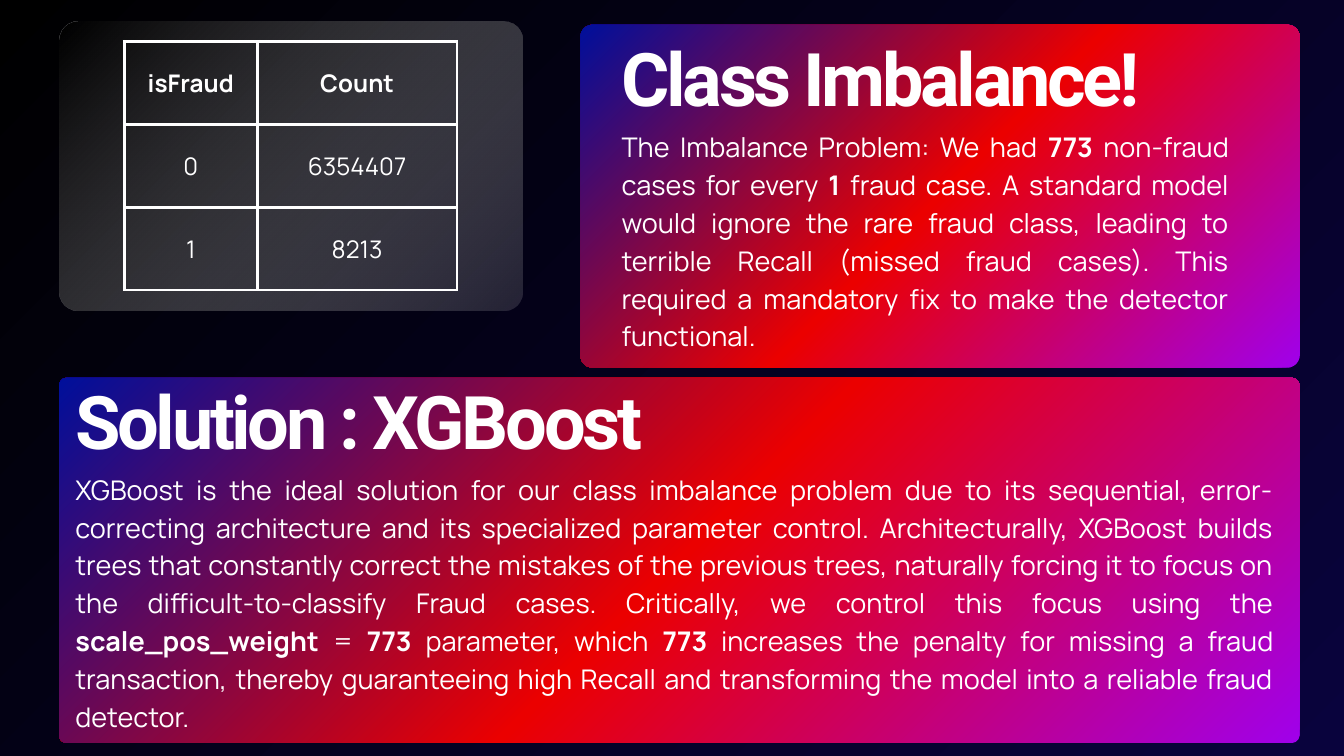
"""Build a slide on class imbalance and its solution."""
from lxml import etree
from pptx import Presentation
from pptx.dml.color import RGBColor
from pptx.enum.shapes import MSO_SHAPE
from pptx.enum.text import MSO_ANCHOR, MSO_AUTO_SIZE, PP_ALIGN
from pptx.oxml import parse_xml
from pptx.oxml.ns import nsdecls, qn
from pptx.util import Pt

ROUNDED = MSO_SHAPE.ROUNDED_RECTANGLE
MIDDLE = MSO_ANCHOR.MIDDLE
GROW = MSO_AUTO_SIZE.SHAPE_TO_FIT_TEXT
LEFT, CENTER, JUSTIFY = PP_ALIGN.LEFT, PP_ALIGN.CENTER, PP_ALIGN.JUSTIFY

COLORS = {
    "black": "000000",
    "night": "09033D",
    "gray": "DDDDDD",
    "blue": "000F9B",
    "red": "EB0000",
    "violet": "A000EB",
    "white": "FFFFFF",
}
RADIAL = ('<a:path path="circle"><a:fillToRect l="0" t="0" r="100000" b="100000"/>'
          '</a:path>')
DIAGONAL = '<a:lin ang="2700000" scaled="0"/>'
NIGHT_STOPS = [(0, "black", 100), (100, "night", 100)]
GLASS_STOPS = [(0, "black", 78), (100, "gray", 15)]
VIVID_STOPS = [(0, "blue", 100), (50, "red", 100), (100, "violet", 100)]

TITLE = {"font": {"name": "Roboto", "size": Pt(79.2)}, "tracking": -360,
         "paragraph": {"alignment": LEFT, "line_spacing": Pt(80.8)}}
BODY = {"font": {"name": "Manrope", "size": Pt(29)}, "tracking": 0,
        "paragraph": {"alignment": JUSTIFY, "line_spacing": Pt(40.6)}}
CELL = {"font": {"name": "Manrope", "size": Pt(26)}, "tracking": 0,
        "paragraph": {"alignment": CENTER, "line_spacing": Pt(36.4)}}

ROWS = [("**isFraud**", "**Count**"), ("0", "6354407"), ("1", "8213")]
PROBLEM = (
    "The Imbalance Problem: We had **773** non-fraud cases for every **1 **fraud case. "
    "A standard model would ignore the rare fraud class, leading to terrible Recall "
    "(missed fraud cases). This required a mandatory fix to make the detector functional."
)
SOLUTION = (
    "XGBoost is the ideal solution for our class imbalance problem due to its sequential, "
    "error-correcting architecture and its specialized parameter control. Architecturally, "
    "XGBoost builds trees that constantly correct the mistakes of the previous trees, "
    "naturally forcing it to focus on the difficult-to-classify Fraud cases. Critically, "
    "we control this focus using the **scale_pos_weight **= **773 **parameter, which "
    "**773 **increases the penalty for missing a fraud transaction, thereby guaranteeing "
    "high Recall and transforming the model into a reliable fraud detector."
)


def apply_format(target, values):
    """Set each named attribute on the target."""
    for name, value in values.items():
        setattr(target, name, value)


def set_gradient(owner, fill, stops, direction):
    """Give the owner a gradient with its own stops, opacity and direction."""
    fill.gradient()
    marks = "".join(
        f'<a:gs pos="{place * 1000}"><a:srgbClr val="{COLORS[color]}">'
        f'<a:alpha val="{opacity * 1000}"/></a:srgbClr></a:gs>'
        for place, color, opacity in stops
    )
    gradient = parse_xml(f'<a:gradFill {nsdecls("a")} rotWithShape="1">'
                         f'<a:gsLst>{marks}</a:gsLst>{direction}</a:gradFill>')
    default = owner.element.find(".//" + qn("a:gradFill"))
    default.getparent().replace(default, gradient)


def write_text(frame, text, style):
    """Write one paragraph in which double asterisks enclose bold words."""
    para = frame.paragraphs[0]
    apply_format(para, style["paragraph"])
    for index, part in enumerate(text.split("**")):
        if part:
            span = para.add_run()
            span.text = part
            apply_format(span.font, {**style["font"], "bold": index % 2 == 1})
            span.font.color.rgb = RGBColor.from_string(COLORS["white"])
            if style["tracking"]:
                span.font._element.set("spc", str(style["tracking"]))


def add_panel(page, left, top, width, height, radius, stops, direction):
    """Add a rounded gradient panel."""
    panel = page.shapes.add_shape(ROUNDED, Pt(left), Pt(top), Pt(width), Pt(height))
    panel.adjustments[0] = radius / min(width, height)
    panel.shadow.inherit = False
    panel.line.fill.background()
    set_gradient(panel, panel.fill, stops, direction)


def add_text(page, left, top, width, height, text, style):
    """Add a wrapped text box without insets."""
    box = page.shapes.add_textbox(Pt(left), Pt(top), Pt(width), Pt(height))
    apply_format(box.text_frame, {
        "word_wrap": True, "auto_size": GROW, "margin_left": 0,
        "margin_right": 0, "margin_top": 0, "margin_bottom": 0,
    })
    write_text(box.text_frame, text, style)


def set_borders(cell, color, width):
    """Draw a solid line on all four sides of a cell."""
    properties = cell._tc.get_or_add_tcPr()
    for side in ("lnL", "lnR", "lnT", "lnB"):
        line = etree.SubElement(properties, qn(f"a:{side}"), w=str(Pt(width)))
        solid = etree.SubElement(line, qn("a:solidFill"))
        etree.SubElement(solid, qn("a:srgbClr"), val=COLORS[color])


def add_count_table(page, left, top, widths, row_height):
    """Add the table of class counts."""
    frame = page.shapes.add_table(len(ROWS), len(widths), Pt(left), Pt(top),
                                  Pt(sum(widths)), Pt(row_height * len(ROWS)))
    table = frame.table
    apply_format(table, {"first_row": False, "horz_banding": False})
    for column, width in zip(table.columns, widths):
        column.width = Pt(width)
    for row, texts in zip(table.rows, ROWS):
        row.height = Pt(row_height)
        for cell, text in zip(row.cells, texts):
            apply_format(cell, {
                "vertical_anchor": MIDDLE, "margin_left": Pt(15),
                "margin_right": Pt(15), "margin_top": Pt(15), "margin_bottom": Pt(15),
            })
            set_borders(cell, "white", 3)
            cell.fill.background()
            write_text(cell.text_frame, text, CELL)


def main():
    """Build and save the deck."""
    deck = Presentation()
    apply_format(deck, {"slide_width": Pt(1440), "slide_height": Pt(810)})
    page = deck.slides.add_slide(deck.slide_layouts[6])
    set_gradient(page, page.background.fill, NIGHT_STOPS, RADIAL)

    add_panel(page, 63.4, 23, 496, 309.6, 20.5, GLASS_STOPS, DIAGONAL)
    add_count_table(page, 133.2, 44.6, [142.6, 213.8], 88.8)

    add_panel(page, 622, 26.6, 770.4, 367.2, 13, VIVID_STOPS, RADIAL)
    add_text(page, 666, 134, 650.9, 243.4, PROBLEM, BODY)
    add_text(page, 666, 49.7, 681.8, 90, "**Class Imbalance!**", TITLE)

    add_panel(page, 63.4, 404.8, 1329, 391.2, 8, VIVID_STOPS, RADIAL)
    add_text(page, 80.8, 501.2, 1284.5, 283.7, SOLUTION, BODY)
    add_text(page, 80.8, 416.9, 681.8, 90, "**Solution : XGBoost**", TITLE)

    deck.save("out.pptx")


if __name__ == "__main__":
    main()
